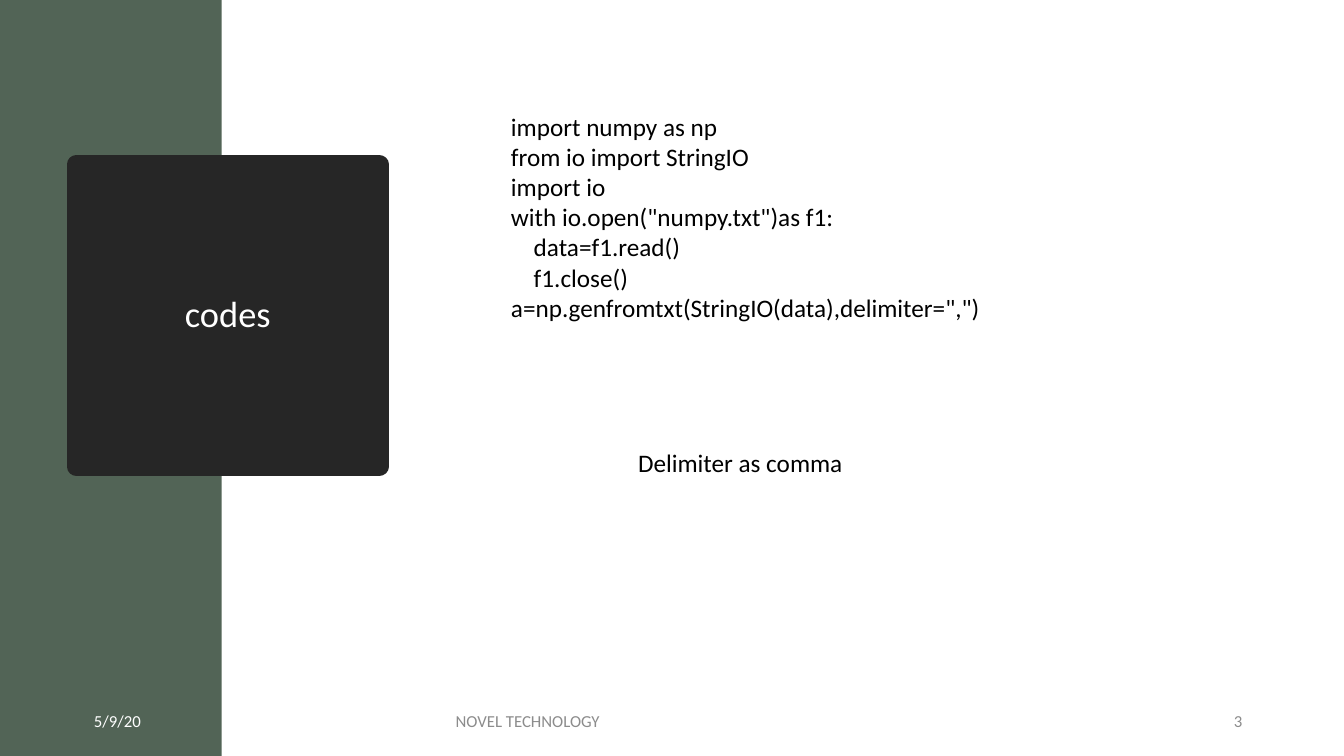
from dataclasses import dataclass

from lxml.etree import SubElement
from pptx import Presentation
from pptx.dml.color import RGBColor
from pptx.enum.shapes import MSO_SHAPE
from pptx.enum.text import MSO_ANCHOR as Anchor, MSO_AUTO_SIZE as AutoSize, PP_ALIGN as Align
from pptx.oxml.ns import qn
from pptx.shapes.autoshape import Shape
from pptx.slide import Slide
from pptx.util import Inches, Pt

GREEN = RGBColor(0x52, 0x64, 0x56)
CHARCOAL = RGBColor(0x26, 0x26, 0x26)
GRAY = RGBColor(0x8C, 0x8C, 0x8C)
BLACK = RGBColor(0, 0, 0)
WHITE = RGBColor(255, 255, 255)

COLUMN = ROW = Inches(1)
COLUMNS, ROWS = 13.33, 7.5
FOOTER_TOP, FOOTER_ROWS = 6.95, 0.4

CODE = """import numpy as np
from io import StringIO
import io
with io.open("numpy.txt")as f1:
    data=f1.read()
    f1.close()
a=np.genfromtxt(StringIO(data),delimiter=",")"""


@dataclass(frozen=True)
class Area:
    column: float
    row: float
    columns: float
    rows: float

    def emu(self) -> tuple[int, int, int, int]:
        return (round(self.column * COLUMN), round(self.row * ROW),
                round(self.columns * COLUMN), round(self.rows * ROW))


@dataclass(frozen=True)
class FooterPart:
    text: str
    column: float
    columns: float
    align: Align
    color: RGBColor


@dataclass(frozen=True)
class BodyText:
    text: str
    area: Area


FOOTER = [
    FooterPart("5/9/20", 0.26, 1.81, Align.CENTER, WHITE),
    FooterPart("NOVEL TECHNOLOGY", 4.42, 5.3, Align.LEFT, GRAY),
    FooterPart("3", 10.81, 1.61, Align.RIGHT, GRAY),
]
BODY = [
    BodyText(CODE, Area(4.97, 1.05, 4.9, 2.22)),
    BodyText("Delimiter as comma", Area(6.23, 4.39, 2.25, 0.4)),
]


def write(box: Shape, text: str, *, size: float, color: RGBColor,
          align: Align = Align.LEFT, anchor: Anchor = Anchor.TOP,
          wrap: bool = True, fit: AutoSize = AutoSize.NONE,
          after: float = 0, spacing: float = 1.0) -> None:
    frame = box.text_frame
    frame.text = text
    frame.word_wrap = wrap
    frame.auto_size = fit
    frame.vertical_anchor = anchor
    for paragraph in frame.paragraphs:
        paragraph.alignment = align
        paragraph.space_after = Pt(after)
        paragraph.line_spacing = spacing
        paragraph.font.name = "Calibri"
        paragraph.font.size = Pt(size)
        paragraph.font.color.rgb = color


def draw_band(slide: Slide) -> None:
    band = slide.shapes.add_shape(MSO_SHAPE.RECTANGLE, *Area(0, 0, 2.2, ROWS).emu())
    band.shadow.inherit = False
    band.fill.solid()
    band.fill.fore_color.rgb = GREEN
    band.line.fill.background()
    slide.shapes.title.element.addprevious(band.element)


def draw_title(slide: Slide) -> None:
    title = slide.shapes.title
    title.left, title.top, title.width, title.height = Area(0.76, 1.63, 3, 3).emu()
    title.fill.solid()
    title.fill.fore_color.rgb = CHARCOAL
    title.line.color.rgb = CHARCOAL
    title.line.width = Pt(13.75)
    SubElement(title.element.spPr.find(qn("a:ln")), qn("a:round"))
    write(title, "codes", size=26, color=WHITE, align=Align.CENTER,
          anchor=Anchor.MIDDLE, spacing=0.9)


def draw_footer(slide: Slide, part: FooterPart) -> None:
    area = Area(part.column, FOOTER_TOP, part.columns, FOOTER_ROWS)
    write(slide.shapes.add_textbox(*area.emu()), part.text, size=12, color=part.color,
          align=part.align, anchor=Anchor.MIDDLE, after=6)


def draw_body(slide: Slide, body: BodyText) -> None:
    write(slide.shapes.add_textbox(*body.area.emu()), body.text, size=18, color=BLACK,
          wrap=False, fit=AutoSize.SHAPE_TO_FIT_TEXT)


def main() -> None:
    deck = Presentation()
    deck.slide_width, deck.slide_height = round(COLUMNS * COLUMN), round(ROWS * ROW)
    slide = deck.slides.add_slide(deck.slide_layouts.get_by_name("Title Only"))
    draw_band(slide)
    draw_title(slide)
    for part in FOOTER:
        draw_footer(slide, part)
    for body in BODY:
        draw_body(slide, body)
    deck.save("out.pptx")


if __name__ == "__main__":
    main()
